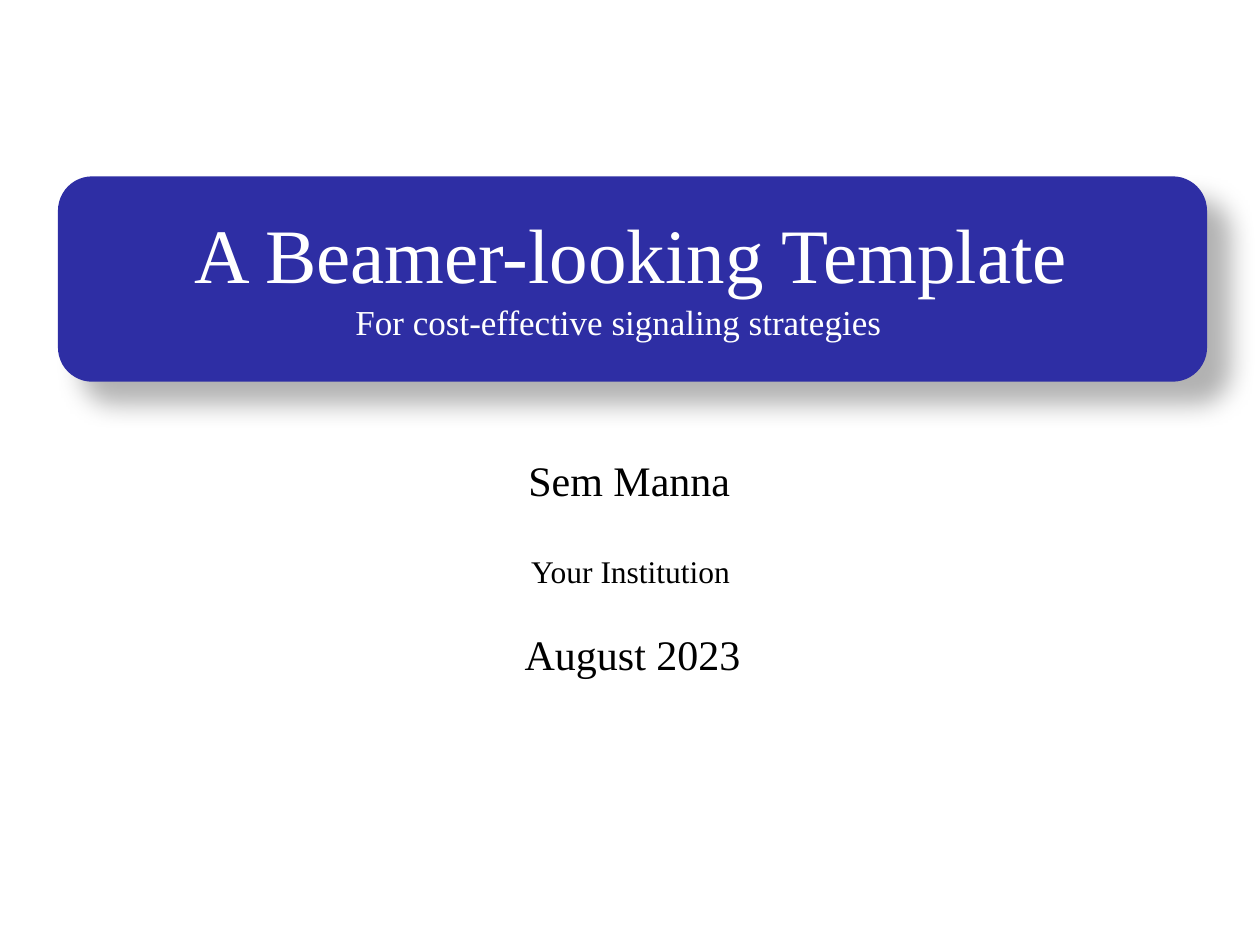
import pptx
import pptx.util
import pptx.dml.color
import pptx.enum.shapes
import pptx.enum.text
import pptx.oxml

Inches, Pt = pptx.util.Inches, pptx.util.Pt
RGBColor = pptx.dml.color.RGBColor
CENTER = pptx.enum.text.PP_ALIGN.CENTER
MIDDLE = pptx.enum.text.MSO_ANCHOR.MIDDLE

FONT = "Times New Roman"
BLUE = RGBColor(0x2E, 0x2E, 0xA4)
WHITE = RGBColor(255, 255, 255)
BLACK = RGBColor(0, 0, 0)

BANNER = (0.46, 1.4, 9.12, 1.63)
AUTHOR = ("Sem Manna", (1.16, 3.59, 7.67, 0.46))
# text, box, size, colour, line spacing, space before, middle anchor
TEXTS = [
    ("For cost-effective signaling strategies", (1.16, 2.37, 7.5, 0.63), 20, WHITE, 0.9, 10, False),
    ("August 2023", (3.89, 4.94, 2.26, 0.5), 24, BLACK, 1.0, 0, False),
    ("Your Institution", (3.6, 4.33, 2.81, 0.4), 18, BLACK, 1.0, 0, False),
    ("A Beamer-looking Template", (0.7, 1.51, 8.62, 1.09), 44, WHITE, 0.9, 0, True),
]
SHADOW = (
    '<a:effectLst xmlns:a="http://schemas.openxmlformats.org/drawingml/2006/main">'
    '<a:outerShdw blurRad="{}" dist="{}" dir="2700000" algn="tl" rotWithShape="0">'
    '<a:srgbClr val="000000"><a:alpha val="30000"/></a:srgbClr>'
    '</a:outerShdw></a:effectLst>'
).format(Pt(15), Pt(18))


def inches(box):
    """Turn a box of numbers into lengths."""
    return [Inches(v) for v in box]


def write(tf, text, size, color):
    """Put one centred line into a text frame and return its paragraph."""
    p = tf.paragraphs[0]
    p.text = text
    p.alignment = CENTER
    p.font.name, p.font.size, p.font.bold = FONT, Pt(size), False
    p.font.color.rgb = color
    return p


def add_banner(s):
    """Add the rounded title panel with its soft shadow."""
    sp = s.shapes.add_shape(pptx.enum.shapes.MSO_SHAPE.ROUNDED_RECTANGLE, *inches(BANNER))
    sp.adjustments[0] = 0.167
    sp.fill.solid()
    sp.fill.fore_color.rgb = BLUE
    sp.line.fill.background()
    sp._element.spPr.append(pptx.oxml.parse_xml(SHADOW))


def add_author(s):
    """Add the one-row table with the author in its middle cell."""
    text, box = AUTHOR
    table = s.shapes.add_table(1, 3, *inches(box)).table
    for cell in table.iter_cells():
        cell.fill.solid()
        cell.fill.fore_color.rgb = WHITE
    cell = table.cell(0, 1)
    cell.margin_left = cell.margin_right = Inches(0.07)
    write(cell.text_frame, text, 24, BLACK)


def add_text(s, text, box, size, color, spacing, before, middle):
    """Add a wrapped text box with one line."""
    tf = s.shapes.add_textbox(*inches(box)).text_frame
    tf.word_wrap = True
    if middle:
        tf.vertical_anchor = MIDDLE
    p = write(tf, text, size, color)
    p.line_spacing, p.space_before = spacing, Pt(before)


prs = pptx.Presentation()
prs.slide_width, prs.slide_height = Inches(10), Inches(7.5)
s = prs.slides.add_slide(prs.slide_layouts[6])
add_banner(s)
add_author(s)
for item in TEXTS:
    add_text(s, *item)
prs.save("out.pptx")
